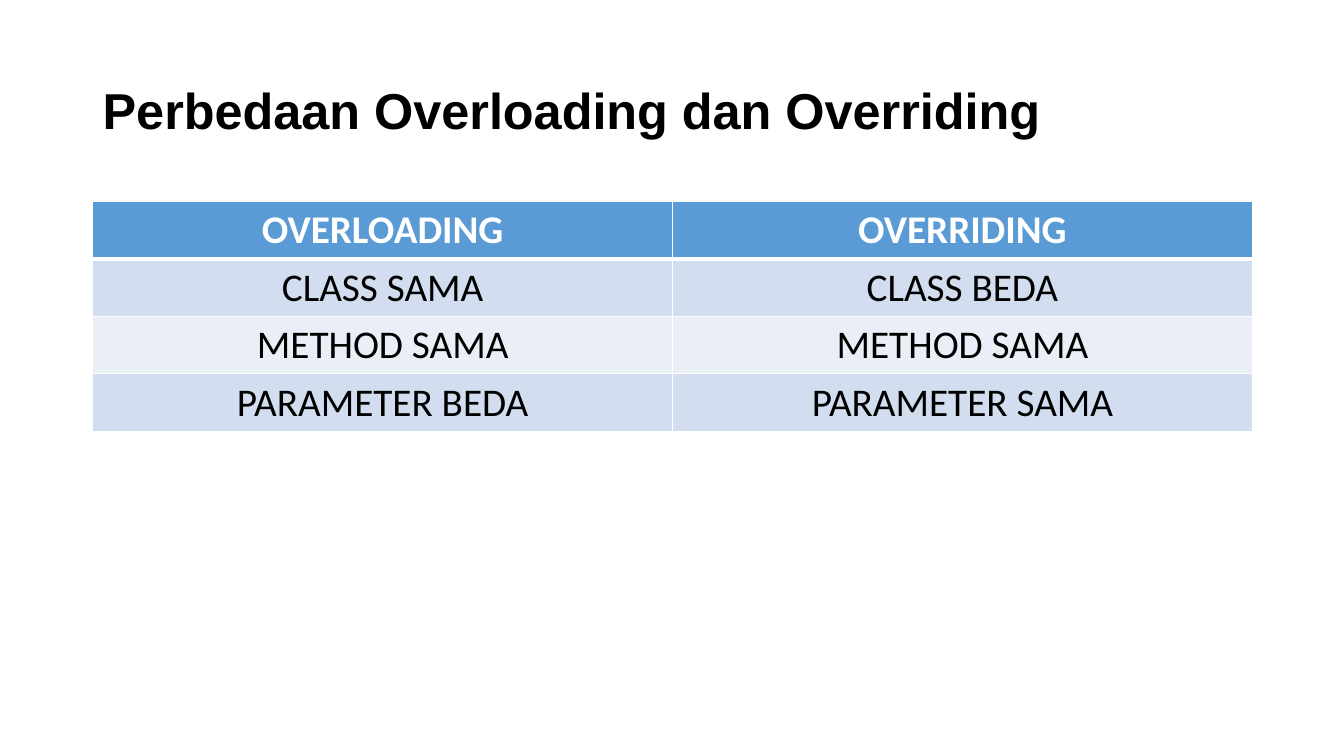
from dataclasses import dataclass

from lxml.etree import SubElement
from pptx import Presentation
from pptx.dml.color import RGBColor
from pptx.enum.text import MSO_ANCHOR, PP_ALIGN
from pptx.oxml.ns import qn
from pptx.util import Inches, Pt


@dataclass(frozen=True)
class Theme:
    black: str = "000000"
    white: str = "FFFFFF"
    header: str = "5B9BD5"
    bands: tuple = ("D2DEEF", "EAEFF7")
    title_font: str = "Arial"
    table_font: str = "Calibri"
    title_size: int = 36
    table_size: int = 28
    thin: int = 1
    thick: int = 3


class SlideBuilder:
    def __init__(self, slide, theme):
        self.slide = slide
        self.theme = theme

    def add_text(self, tf, text, color, para=None, **font):
        """Put one formatted run into the first paragraph."""
        p = tf.paragraphs[0]
        for name, value in (para or {}).items():
            setattr(p, name, value)
        r = p.add_run()
        r.text = text
        for name, value in font.items():
            setattr(r.font, name, value)
        r.font.color.rgb = RGBColor.from_string(color)

    def title(self, text, left, top, width, height):
        t = self.theme
        tf = self.slide.shapes.add_textbox(left, top, width, height).text_frame
        tf.word_wrap = True
        tf.vertical_anchor = MSO_ANCHOR.MIDDLE
        self.add_text(tf, text, t.black, {"line_spacing": 0.9},
                      name=t.title_font, size=Pt(t.title_size), bold=True)

    def borders(self, cell, widths):
        """Draw cell edges; widths maps L, R, T, B to points."""
        tc_pr = cell._tc.get_or_add_tcPr()
        for side, width in widths.items():
            ln = SubElement(tc_pr, qn(f"a:ln{side}"), w=str(Pt(width)))
            fill = SubElement(ln, qn("a:solidFill"))
            SubElement(fill, qn("a:srgbClr"), val=self.theme.white)

    def table(self, rows, left, top, width, row_height):
        t = self.theme
        table = self.slide.shapes.add_table(
            len(rows), len(rows[0]), left, top, width, row_height * len(rows)).table
        for i, row in enumerate(rows):
            table.rows[i].height = row_height
            is_header = i == 0
            fill = t.header if is_header else t.bands[(i - 1) % len(t.bands)]
            edges = {"L": t.thin, "R": t.thin,
                     "T": t.thick if i == 1 else t.thin,
                     "B": t.thick if is_header else t.thin}
            for j, text in enumerate(row):
                cell = table.cell(i, j)
                self.borders(cell, edges)
                cell.fill.solid()
                cell.fill.fore_color.rgb = RGBColor.from_string(fill)
                self.add_text(cell.text_frame, text, t.white if is_header else t.black,
                              {"alignment": PP_ALIGN.CENTER}, name=t.table_font,
                              size=Pt(t.table_size), bold=is_header)


# Slide
prs = Presentation()
prs.slide_width, prs.slide_height = Inches(13.33), Inches(7.5)
s = SlideBuilder(prs.slides.add_slide(prs.slide_layouts[6]), Theme())
left, width = Inches(0.92), Inches(11.5)

# Title
s.title("Perbedaan Overloading dan Overriding", left, Inches(0.4), width, Inches(1.45))

# Comparison table
comparison = [
    ("OVERLOADING", "OVERRIDING"),
    ("CLASS SAMA", "CLASS BEDA"),
    ("METHOD SAMA", "METHOD SAMA"),
    ("PARAMETER BEDA", "PARAMETER SAMA"),
]
s.table(comparison, left, Inches(2), width, Inches(0.57))

prs.save("out.pptx")
